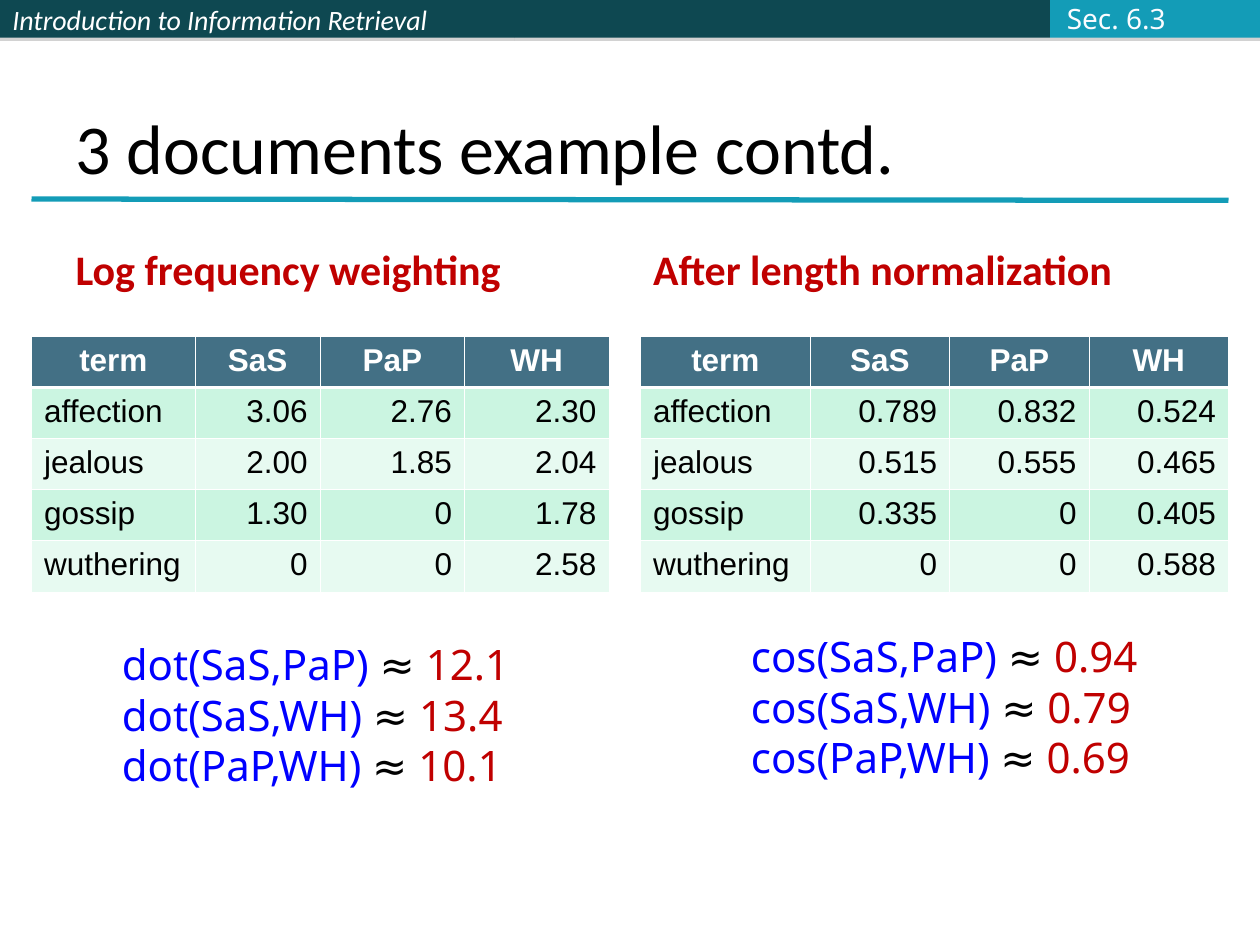
from dataclasses import dataclass

from lxml import etree
from pptx import Presentation
from pptx.dml.color import RGBColor
from pptx.enum import shapes, text
from pptx.oxml import ns
from pptx.util import Pt

WHITE = RGBColor(0xFF, 0xFF, 0xFF)
OFF_WHITE = RGBColor(0xFB, 0xFC, 0xFF)
BLACK = RGBColor(0x00, 0x00, 0x00)
DARK_TEAL = RGBColor(0x0E, 0x48, 0x51)
TEAL = RGBColor(0x13, 0x9C, 0xB7)
SHADOW_GREY = RGBColor(0x80, 0x80, 0x80)
HEADER_BLUE = RGBColor(0x43, 0x70, 0x85)
BANDS = (RGBColor(0xCB, 0xF5, 0xE1), RGBColor(0xE7, 0xFA, 0xF1))
RED = RGBColor(0xC0, 0x00, 0x00)
BLUE = RGBColor(0x00, 0x00, 0xFF)

ALIGN = text.PP_ALIGN
ANCHOR = text.MSO_ANCHOR
AUTO_SIZE = text.MSO_AUTO_SIZE

TERMS = ("affection", "jealous", "gossip", "wuthering")
NOVELS = ("SaS", "PaP", "WH")
PAIRS = ("SaS,PaP", "SaS,WH", "PaP,WH")
TABLE_TOP, ROW_HEIGHT = 192.25, 29.2
THIN, THICK = 0.45, 1.47


@dataclass(frozen=True)
class Bar:
    left: float
    width: float
    color: RGBColor
    label: str = ""


@dataclass(frozen=True)
class Column:
    """One half of the slide: heading, weight table and similarity list."""
    heading_idx: int
    heading: str
    heading_left: float
    table_left: float
    widths: tuple[float, ...]
    weights: tuple[tuple[str, ...], ...]
    measure: str
    results: tuple[str, ...]
    result_box: tuple[float, float, float, float]


BARS = (
    Bar(0, 293.8, DARK_TEAL, "Introduction to Information Retrieval"),
    Bar(293.8, 306.2, DARK_TEAL),
    Bar(600, 120, TEAL),
)
COLUMNS = (
    Column(1, "Log frequency weighting", 36, 18, (93.6, 71.4, 82.5, 82.5),
           (("3.06", "2.76", "2.30"), ("2.00", "1.85", "2.04"),
            ("1.30", "0", "1.78"), ("0", "0", "2.58")),
           "dot", ("12.1", "13.4", "10.1"), (62.6, 361.5, 236, 93.6)),
    Column(3, "After length normalization", 366, 366, (97, 79.7, 79.7, 79.6),
           (("0.789", "0.832", "0.524"), ("0.515", "0.555", "0.465"),
            ("0.335", "0", "0.405"), ("0", "0", "0.588")),
           "cos", ("0.94", "0.79", "0.69"), (422, 357, 235.5, 93.6)),
)


def write(p, content: str, *, size: float, font: str, color: RGBColor,
          bold: bool = False, italic: bool = False, align=ALIGN.LEFT) -> None:
    """Append a formatted run to a paragraph."""
    p.alignment = align
    r = p.add_run()
    r.text = content
    r.font.size, r.font.name = Pt(size), font
    r.font.bold, r.font.italic = bold, italic
    r.font.color.rgb = color


def place(sp, left: float, top: float, width: float, height: float) -> None:
    sp.left, sp.top, sp.width, sp.height = map(Pt, (left, top, width, height))


def fill_placeholder(sp, content: str, box: tuple, *, before: float = 0, **fmt) -> None:
    place(sp, *box)
    tf = sp.text_frame
    tf.auto_size, tf.vertical_anchor = AUTO_SIZE.NONE, ANCHOR.BOTTOM
    p = tf.paragraphs[0]
    p.space_before = Pt(before)
    write(p, content, font="Calibri", **fmt)


def add_unwrapped_box(slide, box: tuple, anchor=ANCHOR.TOP):
    tf = slide.shapes.add_textbox(*map(Pt, box)).text_frame
    tf.word_wrap, tf.auto_size = False, AUTO_SIZE.SHAPE_TO_FIT_TEXT
    tf.vertical_anchor = anchor
    return tf


def add_color(parent, color: RGBColor):
    return etree.SubElement(parent, ns.qn("a:srgbClr"), val=str(color))


def add_bar(slide, bar: Bar) -> None:
    sp = slide.shapes.add_shape(shapes.MSO_SHAPE.RECTANGLE,
                                Pt(bar.left), 0, Pt(bar.width), Pt(21.6))
    sp.fill.solid()
    sp.fill.fore_color.rgb = bar.color
    sp.line.fill.background()
    sp.shadow.inherit = False
    effects = sp._element.spPr.find(ns.qn("a:effectLst"))
    shadow = etree.SubElement(effects, ns.qn("a:outerShdw"), blurRad="0",
                              dist=str(Pt(1.8)), dir="5400000", rotWithShape="0")
    etree.SubElement(add_color(shadow, SHADOW_GREY), ns.qn("a:alpha"), val="35000")
    if bar.label:
        tf = sp.text_frame
        tf.word_wrap, tf.vertical_anchor = True, ANCHOR.MIDDLE
        write(tf.paragraphs[0], bar.label, size=16, font="Calibri",
              color=WHITE, italic=True)


def add_rule(slide) -> None:
    line = slide.shapes.add_connector(shapes.MSO_CONNECTOR.STRAIGHT,
                                      Pt(18), Pt(113.75), Pt(702), Pt(114.5))
    line.line.color.rgb, line.line.width = TEAL, Pt(3)
    etree.SubElement(line._element.spPr, ns.qn("a:effectLst"))


def set_borders(cell, top: float, bottom: float) -> None:
    tc_pr = cell._tc.get_or_add_tcPr()
    sides = (("lnL", THIN), ("lnR", THIN), ("lnT", top), ("lnB", bottom))
    for i, (side, width) in enumerate(sides):
        ln = etree.Element(ns.qn(f"a:{side}"), w=str(Pt(width)))
        add_color(etree.SubElement(ln, ns.qn("a:solidFill")), WHITE)
        tc_pr.insert(i, ln)


def add_weight_table(slide, col: Column) -> None:
    rows = [("term", *NOVELS)] + [(t, *w) for t, w in zip(TERMS, col.weights)]
    table = slide.shapes.add_table(
        len(rows), len(col.widths), Pt(col.table_left), Pt(TABLE_TOP),
        Pt(sum(col.widths)), Pt(ROW_HEIGHT * len(rows))).table
    table.horz_banding = table.first_row = False
    for column, width in zip(table.columns, col.widths):
        column.width = Pt(width)
    for i, row in enumerate(rows):
        table.rows[i].height = Pt(ROW_HEIGHT)
        header = i == 0
        for j, value in enumerate(row):
            cell = table.cell(i, j)
            cell.fill.solid()
            cell.fill.fore_color.rgb = HEADER_BLUE if header else BANDS[(i - 1) % 2]
            set_borders(cell, top=THICK if i == 1 else THIN,
                        bottom=THICK if header else THIN)
            body_align = ALIGN.RIGHT if j else ALIGN.LEFT
            write(cell.text_frame.paragraphs[0], value, size=18, font="Arial",
                  color=WHITE if header else BLACK, bold=header,
                  align=ALIGN.CENTER if header else body_align)


def add_results(slide, col: Column) -> None:
    tf = add_unwrapped_box(slide, col.result_box)
    for i, (pair, result) in enumerate(zip(PAIRS, col.results)):
        p = tf.add_paragraph() if i else tf.paragraphs[0]
        for part, color in ((f"{col.measure}({pair})", BLUE), (" ≈ ", BLACK),
                            (result, RED)):
            write(p, part, size=24, font="Noto Sans", color=color)


def main() -> None:
    prs = Presentation()
    prs.slide_width, prs.slide_height = Pt(720), Pt(540)
    slide = prs.slides.add_slide(prs.slide_layouts.get_by_name("Comparison"))
    holders = {sp.placeholder_format.idx: sp for sp in slide.placeholders}
    for idx in (2, 4):
        holders[idx]._element.getparent().remove(holders[idx]._element)

    for bar in BARS:
        add_bar(slide, bar)
    add_rule(slide)
    fill_placeholder(holders[0], "3 documents example contd.",
                     (36, 21.6, 648, 90), size=40, color=BLACK)
    for col in COLUMNS:
        fill_placeholder(holders[col.heading_idx], col.heading,
                         (col.heading_left, 121, 318, 50.4), before=6,
                         size=24, color=RED, bold=True)
        add_weight_table(slide, col)
        add_results(slide, col)
    tf = add_unwrapped_box(slide, (602.6, -2.9, 70.6, 26.6), ANCHOR.MIDDLE)
    write(tf.paragraphs[0], "Sec. 6.3", size=16, font="Noto Sans", color=OFF_WHITE)
    prs.save("out.pptx")


if __name__ == "__main__":
    main()
